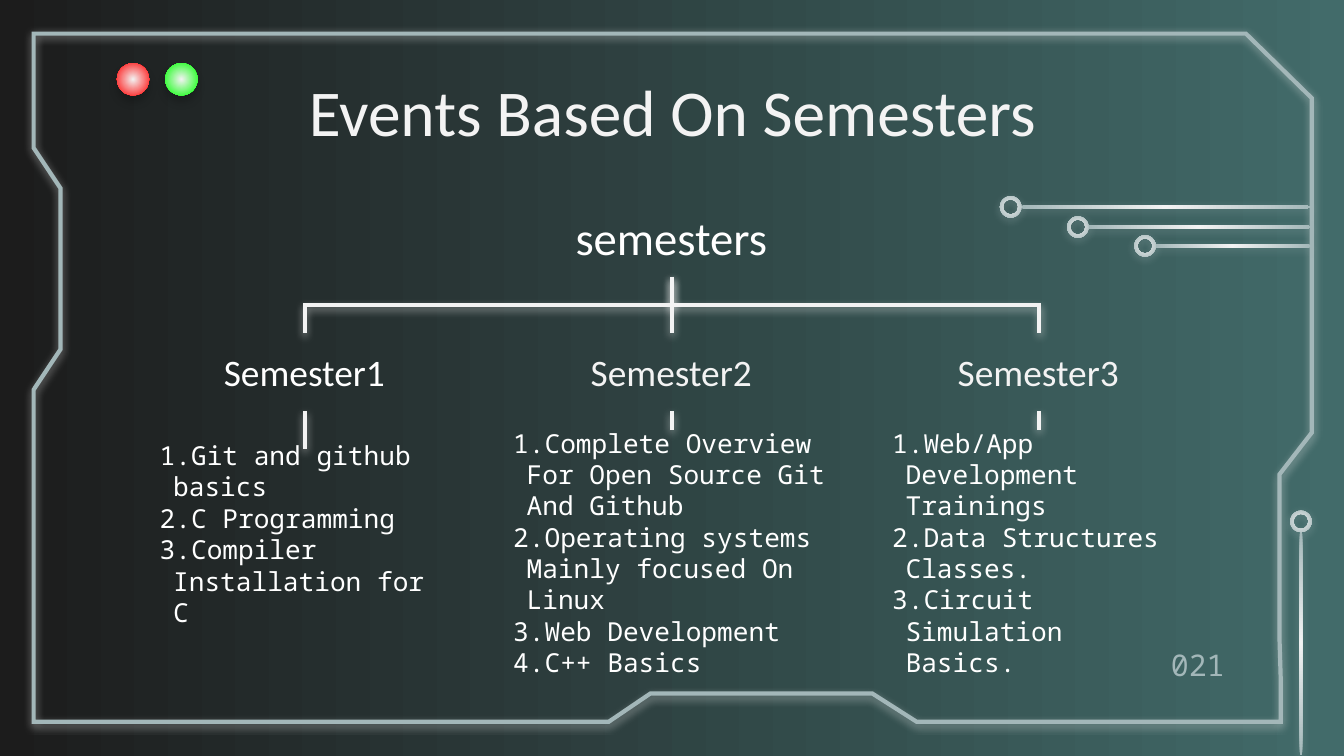
from dataclasses import dataclass
from typing import Any

import pptx
import pptx.dml.color
import pptx.enum.shapes
import pptx.enum.text
import pptx.oxml.ns
import pptx.util
from lxml import etree

EMU_PER_PX = 9144  # 100 px to the inch
SLIDE_WIDTH = 1000
SLIDE_HEIGHT = SLIDE_WIDTH * 9 / 16
COLORS = {
    "dark": "1C1C1C", "teal": "426B6A", "pale": "F3F3F3", "steel": "A3B7B9",
    "white": "FFFFFF", "black": "000000", "red": "FF0000", "green": "00FF00",
}
FRAME_FORMAT = {
    "word_wrap": True,
    "vertical_anchor": pptx.enum.text.MSO_ANCHOR.MIDDLE,
    **{f"margin_{side}": pptx.util.Inches(0.1) for side in ("left", "right", "top", "bottom")},
}
HEADING_FONT, MONO_FONT = "Calibri", "Noto Sans Mono"
ALIGN = pptx.enum.text.PP_ALIGN
PRESET = pptx.enum.shapes.MSO_SHAPE
CONNECTOR = pptx.enum.shapes.MSO_CONNECTOR

PANEL_OUTLINE = [
    (25, 537), (453, 537), (484, 516), (649, 516), (682, 537), (953, 537),
    (953, 506), (952, 474), (952, 353), (976, 322), (976, 73), (927, 25),
    (25, 25), (25, 110), (45, 140), (45, 260), (25, 290),
]


@dataclass(frozen=True)
class Box:
    left: int
    top: int
    width: int
    height: int


@dataclass(frozen=True)
class Label:
    box: Box
    paragraphs: list[str]
    size: int
    color: str = "white"
    font: str = HEADING_FONT
    align: Any = ALIGN.CENTER
    numbered: bool = False


@dataclass(frozen=True)
class Semester:
    name: str
    center: int
    color: str
    events_box: Box
    stem_end: int
    events: list[str]


@dataclass(frozen=True)
class Shadow:
    color: str
    opacity: int
    distance: float


PALE_GLOW = Shadow("pale", 50, 1.5)
STEEL_GLOW = Shadow("steel", 50, 1.5)
LAMP_SHADOW = Shadow("black", 20, 3.8)

SEMESTERS = [
    Semester("Semester1", 227, "white", Box(109, 334, 237, 126), 334,
             ["Git and github basics", "C Programming", "Compiler Installation for C"]),
    Semester("Semester2", 500, "pale", Box(372, 320, 255, 182), 320,
             ["Complete Overview For Open Source Git And Github",
              "Operating systems Mainly focused On Linux",
              "Web Development", "C++ Basics"]),
    Semester("Semester3", 773, "pale", Box(654, 332, 237, 158), 320,
             ["Web/App Development Trainings", "Data Structures Classes.",
              "Circuit Simulation Basics."]),
]
ROOT_BOTTOM, NAME_TOP, NAME_BOTTOM = 206, 248, 306


def px(length: float) -> int:
    return round(length * EMU_PER_PX)


def rgb(color: str) -> pptx.dml.color.RGBColor:
    return pptx.dml.color.RGBColor.from_string(COLORS[color])


def apply_format(target: Any, values: dict[str, Any]) -> None:
    for name, value in values.items():
        setattr(target, name, value)


def add_xml(parent: Any, tag: str, **attributes: Any) -> Any:
    return etree.SubElement(parent, pptx.oxml.ns.qn(tag),
                            {name: str(value) for name, value in attributes.items()})


def set_shadow(shape: Any, shadow: Shadow) -> None:
    """Add a downward soft shadow; fill and line must be set before."""
    effects = add_xml(shape._element.spPr, "a:effectLst")
    outer = add_xml(effects, "a:outerShdw", blurRad=pptx.util.Pt(4.5),
                    dist=pptx.util.Pt(shadow.distance), dir=5400000,
                    algn="bl", rotWithShape=0)
    color = add_xml(outer, "a:srgbClr", val=COLORS[shadow.color])
    add_xml(color, "a:alpha", val=shadow.opacity * 1000)


def set_gradient(fill: Any, first: str, last: str) -> None:
    fill.gradient()
    fill.gradient_angle = 0
    for stop, color in zip(fill.gradient_stops, (first, last)):
        stop.color.rgb = rgb(color)


def set_stroke(shape: Any, color: str) -> None:
    """Set a solid line with sharp corners."""
    shape.line.color.rgb = rgb(color)
    shape.line.width = pptx.util.Pt(2.25)
    add_xml(shape._element.spPr.find(pptx.oxml.ns.qn("a:ln")), "a:miter", lim=800000)


def add_panel(slide: Any) -> None:
    builder = slide.shapes.build_freeform(*PANEL_OUTLINE[0], scale=EMU_PER_PX)
    builder.add_line_segments(PANEL_OUTLINE[1:], close=True)
    panel = builder.convert_to_shape()
    panel.fill.background()
    set_stroke(panel, "steel")
    set_shadow(panel, PALE_GLOW)


def add_glowing_shape(slide: Any, preset: Any, box: Box, edge_color: str,
                      shadow: Shadow) -> Any:
    """Draw a preset shape that fades from a pale centre to its edge colour."""
    shape = slide.shapes.add_shape(preset, px(box.left), px(box.top),
                                   px(box.width), px(box.height))
    set_gradient(shape.fill, "pale", edge_color)
    gradient = shape._element.spPr.find(pptx.oxml.ns.qn("a:gradFill"))
    gradient.remove(gradient.find(pptx.oxml.ns.qn("a:lin")))
    path = add_xml(gradient, "a:path", path="circle")
    add_xml(path, "a:fillToRect", l=50000, t=50000, r=50000, b=50000)
    shape.line.fill.background()
    set_shadow(shape, shadow)
    return shape


def add_trace(slide: Any, trace: Box, ring_left: int, ring_top: int) -> None:
    """Draw a circuit trace that ends in a ring."""
    add_glowing_shape(slide, PRESET.RECTANGLE, trace, "steel", STEEL_GLOW)
    ring = add_glowing_shape(slide, PRESET.DONUT, Box(ring_left, ring_top, 16, 16),
                             "steel", STEEL_GLOW)
    ring.adjustments[0] = 0.15


def add_label(slide: Any, label: Label) -> None:
    box = label.box
    shape = slide.shapes.add_textbox(px(box.left), px(box.top), px(box.width), px(box.height))
    frame = shape.text_frame
    apply_format(frame, FRAME_FORMAT)
    for index, text in enumerate(label.paragraphs):
        paragraph = frame.add_paragraph() if index else frame.paragraphs[0]
        paragraph.alignment = label.align
        if label.numbered:
            properties = paragraph._p.get_or_add_pPr()
            properties.set("marL", str(px(10)))
            properties.set("indent", str(-px(10)))
            add_xml(add_xml(properties, "a:buClr"), "a:srgbClr", val=COLORS[label.color])
            add_xml(properties, "a:buFont", typeface=label.font)
            add_xml(properties, "a:buAutoNum", type="arabicPeriod")
        run = paragraph.add_run()
        run.text = text
        apply_format(run.font, {"name": label.font, "size": pptx.util.Pt(label.size)})
        run.font.color.rgb = rgb(label.color)


def add_line(slide: Any, kind: Any, start: tuple[float, float],
             end: tuple[float, float]) -> Any:
    connector = slide.shapes.add_connector(kind, *map(px, (*start, *end)))
    set_stroke(connector, "pale")
    set_shadow(connector, PALE_GLOW)
    return connector


def add_branch(slide: Any, start: tuple[int, int], end: tuple[int, int]) -> None:
    """Draw an elbow that leaves downwards, by turning a sideways elbow."""
    middle_x, middle_y = (start[0] + end[0]) / 2, (start[1] + end[1]) / 2
    half_drop, half_run = (end[1] - start[1]) / 2, abs(end[0] - start[0]) / 2
    side = 1 if end[0] < start[0] else -1
    elbow = add_line(slide, CONNECTOR.ELBOW,
                     (middle_x - side * half_drop, middle_y - half_run),
                     (middle_x + side * half_drop, middle_y + half_run))
    transform = elbow._element.spPr.find(pptx.oxml.ns.qn("a:xfrm"))
    transform.set("rot", str((90 if side == 1 else 270) * 60000))


def add_semester(slide: Any, semester: Semester) -> None:
    center = semester.center
    add_label(slide, Label(Box(center - 119, NAME_TOP, 237, 57), [semester.name], 20,
                           semester.color))
    add_label(slide, Label(semester.events_box, semester.events, 14, font=MONO_FONT,
                           align=ALIGN.LEFT, numbered=True))
    add_line(slide, CONNECTOR.STRAIGHT, (center, NAME_BOTTOM), (center, semester.stem_end))
    if center == 500:
        add_line(slide, CONNECTOR.STRAIGHT, (center, ROOT_BOTTOM), (center, NAME_TOP))
    else:
        add_branch(slide, (500, ROOT_BOTTOM), (center, NAME_TOP))


def main() -> None:
    presentation = pptx.Presentation()
    apply_format(presentation, {"slide_width": px(SLIDE_WIDTH), "slide_height": px(SLIDE_HEIGHT)})
    slide = presentation.slides.add_slide(presentation.slide_layouts[6])
    set_gradient(slide.background.fill, "dark", "teal")
    add_panel(slide)
    add_trace(slide, Box(967, 395, 2, 167), 960, 380)
    add_label(slide, Label(Box(79, 59, 843, 47), ["Events Based On Semesters"], 35, "pale"))
    add_label(slide, Label(Box(341, 148, 317, 57), ["semesters"], 25))
    for semester in SEMESTERS:
        add_semester(slide, semester)
    for left, top in ((758, 153), (808, 168), (858, 182)):
        add_trace(slide, Box(left, top, 976 - left, 2), left - 14, top - 7)
    for left, color in ((87, "red"), (123, "green")):
        add_glowing_shape(slide, PRESET.OVAL, Box(left, 47, 24, 24), color, LAMP_SHADOW)
    add_label(slide, Label(Box(841, 485, 80, 19), ["021"], 16, "steel", MONO_FONT, ALIGN.RIGHT))
    presentation.save("out.pptx")


if __name__ == "__main__":
    main()
